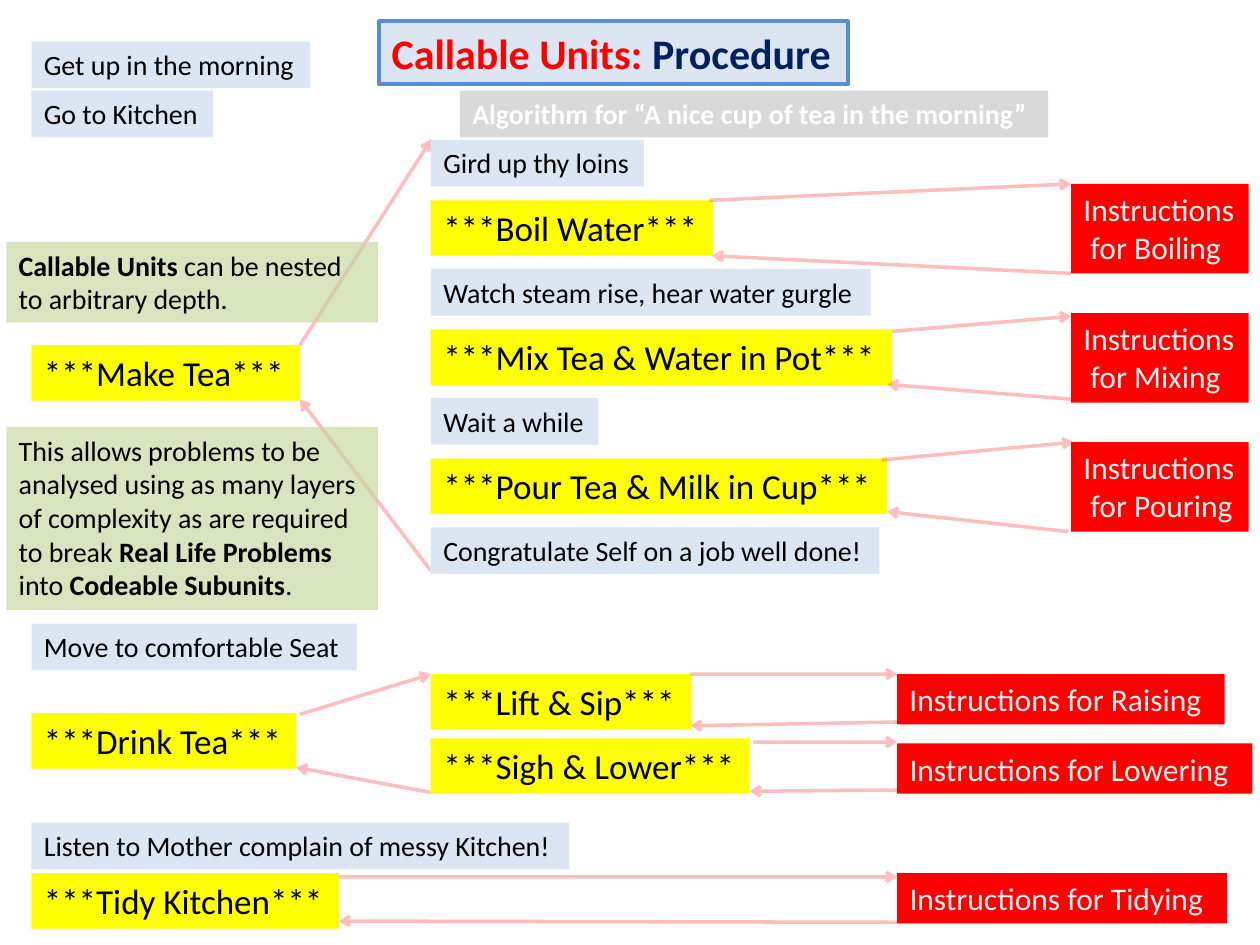
from pptx import Presentation
from pptx.dml.color import RGBColor
from pptx.enum.shapes import MSO_CONNECTOR, MSO_SHAPE
from pptx.enum.text import MSO_ANCHOR, MSO_AUTO_SIZE, PP_ALIGN
from pptx.oxml.ns import qn
from pptx.util import Inches, Pt
from lxml.etree import SubElement

COLS, ROWS = 100, 75  # grid over the whole slide
C = {"pale": "DCE6F2", "edge": "558ED5", "yellow": "FFFF00", "red": "FF0000",
     "navy": "002060", "grey": "D9D9D9", "green": "C3D69B", "black": "000000",
     "white": "FFFFFF", "light": "F2F2F2"}
# style: fill, text colour, size, bold, height in rows
STYLES = {"step": ("pale", "black", 16, False, 3.7),
          "call": ("yellow", "black", 20, False, 4.4),
          "unit": ("red", "light", 18, False, 4),
          "heading": ("grey", "white", 16, True, 3.7),
          "title": ("pale", "navy", 24, True, 5),
          "note": ("green", "black", 16, False, 6.4)}

prs = Presentation()
prs.slide_width, prs.slide_height = Inches(10), Inches(7.5)
COL, ROW = prs.slide_width / COLS, prs.slide_height / ROWS


def rgb(name):
    return RGBColor.from_string(C[name])


def set_alpha(fill_xml, percent):
    SubElement(fill_xml.find(".//" + qn("a:srgbClr")), qn("a:alpha"),
               val=str(percent * 1000))


def label(s, style, x, y, w, *paragraphs, h=None):
    """Add a filled label; each paragraph is a string or a list of runs."""
    fill, color, size, bold, height = STYLES[style]
    sp = s.shapes.add_shape(MSO_SHAPE.RECTANGLE, int(x * COL), int(y * ROW),
                            int(w * COL), int((h or height) * ROW))
    sp.shadow.inherit = False
    sp.fill.solid()
    sp.fill.fore_color.rgb = rgb(fill)
    sp.line.fill.background()
    tf = sp.text_frame
    tf.word_wrap = False
    tf.auto_size = MSO_AUTO_SIZE.SHAPE_TO_FIT_TEXT
    tf.vertical_anchor = MSO_ANCHOR.TOP
    for i, runs in enumerate(paragraphs):
        p = tf.add_paragraph() if i else tf.paragraphs[0]
        p.alignment = PP_ALIGN.LEFT
        p.font.name, p.font.size, p.font.bold = "Calibri", Pt(size), bold
        p.font.color.rgb = rgb(color)
        for text, look in [(runs, {})] if isinstance(runs, str) else runs:
            r = p.add_run()
            r.text = text
            # Runs carry their own font so they override the shape style
            r.font.name, r.font.size = "Calibri", Pt(size)
            r.font.bold = look.get("bold", bold)
            r.font.color.rgb = rgb(look.get("color", color))
    return sp


def arrows(s, x, y, *ends):
    """Draw faint arrows whose ends are offsets from the point x, y."""
    for x1, y1, x2, y2 in ends:
        line = s.shapes.add_connector(
            MSO_CONNECTOR.STRAIGHT, int((x + x1) * COL), int((y + y1) * ROW),
            int((x + x2) * COL), int((y + y2) * ROW))
        line.line.width = Pt(2)
        line.line.color.rgb = rgb("red")
        ln = line.line._ln
        set_alpha(ln, 25)
        SubElement(ln, qn("a:tailEnd"), type="arrow")
        SubElement(line._element.spPr, qn("a:effectLst"))


def header(s, x, y):
    sp = label(s, "title", x, y, 37.2,
               [("Callable Units: ", {"color": "red"}), ("Procedure", {})])
    sp.line.color.rgb = rgb("edge")
    sp.line.width = Pt(2.25)
    label(s, "heading", x + 6.4, y + 5.5, 46.7,
          "Algorithm for “A nice cup of tea in the morning”")


def main_routine(s, x, y):
    for style, dy, w, text in [
            ("step", 0, 22.1, "Get up in the morning"),
            ("step", 3.9, 14.4, "Go to Kitchen"),
            ("call", 24.1, 21.3, "***Make Tea***"),
            ("step", 46.2, 25.8, "Move to comfortable Seat"),
            ("call", 53.3, 21, "***Drink Tea***"),
            ("step", 62, 42.7, "Listen to Mother complain of messy Kitchen!"),
            ("call", 66, 24.4, "***Tidy Kitchen***")]:
        label(s, style, x, y + dy, w, text)


def make_tea(s, x, y):
    pitch = 10.25
    arrows(s, x, y, (-10.4, 16.3, 0, 0), (0, 34.2, -10.4, 20.6))
    for i, (w, text) in enumerate([
            (16.9, "Gird up thy loins"),
            (34.9, "Watch steam rise, hear water gurgle"),
            (13.3, "Wait a while"),
            (35.6, "Congratulate Self on a job well done!")]):
        label(s, "step", x, y + i * pitch, w, text)
    for i, (w, text, unit) in enumerate([
            (22.4, "***Boil Water***", "Boiling"),
            (36.6, "***Mix Tea & Water in Pot***", "Mixing"),
            (36.2, "***Pour Tea & Milk in Cup***", "Pouring")]):
        top = y + i * pitch
        label(s, "call", x, top + 4.8, w, text)
        label(s, "unit", x + 50.8, top + 3.5, 14.1,
              "Instructions", f" for {unit}", h=7.1)
    arrows(s, x, y,
           (22.1, 4.8, 50.8, 3.5), (50.8, 10.6, 22.3, 9.2),
           (36.6, 15.2, 50.8, 14), (51, 20.6, 36.2, 19.4),
           (35.8, 25.4, 51, 24), (50.6, 31.1, 36.2, 29.5))


def drink_tea(s, x, y):
    arrows(s, x, y, (-10.4, 3.2, 0, 0), (0, 9.4, -10.7, 7.4))
    label(s, "call", x, y, 20.7, "***Lift & Sip***")
    label(s, "call", x, y + 5.1, 25.3, "***Sigh & Lower***")
    label(s, "unit", x + 37, y, 26, "Instructions for Raising")
    label(s, "unit", x + 37, y + 5.5, 28.2, "Instructions for Lowering")
    arrows(s, x, y,
           (20.6, 0, 37, 0), (37, 3.8, 20.6, 4.1),
           (25.6, 5.4, 37, 5.4), (37, 9.2, 25.3, 9.3))


def tidy_kitchen(s, x, y):
    label(s, "unit", x, y, 26.2, "Instructions for Tidying")
    arrows(s, x, y, (-44.3, 0.3, 0, 0.3), (0, 3.9, -44.3, 3.8))


def notes_on_nesting(s, x, y):
    bold = {"bold": True}
    for dy, h, runs in [
            (0, 6.4, [("Callable Units ", bold),
                      ("can be nested to arbitrary depth.", {})]),
            (14.7, 14.5, [("This allows problems to be analysed using as many "
                           "layers of complexity as are required to break ", {}),
                          ("Real Life Problems ", bold), ("into ", {}),
                          ("Codeable Subunits", bold), (".", {})])]:
        sp = label(s, "note", x, y + dy, 29.5, runs, h=h)
        sp.text_frame.word_wrap = True
        set_alpha(sp._element.spPr.find(qn("a:solidFill")), 65)


def main():
    s = prs.slides.add_slide(prs.slide_layouts[6])
    header(s, 30.1, 1.7)
    main_routine(s, 2.5, 3.3)
    make_tea(s, 34.2, 11.1)
    drink_tea(s, 34.2, 53.5)
    tidy_kitchen(s, 71.2, 69.3)
    notes_on_nesting(s, 0.5, 19.2)
    prs.save("out.pptx")


if __name__ == "__main__":
    main()
